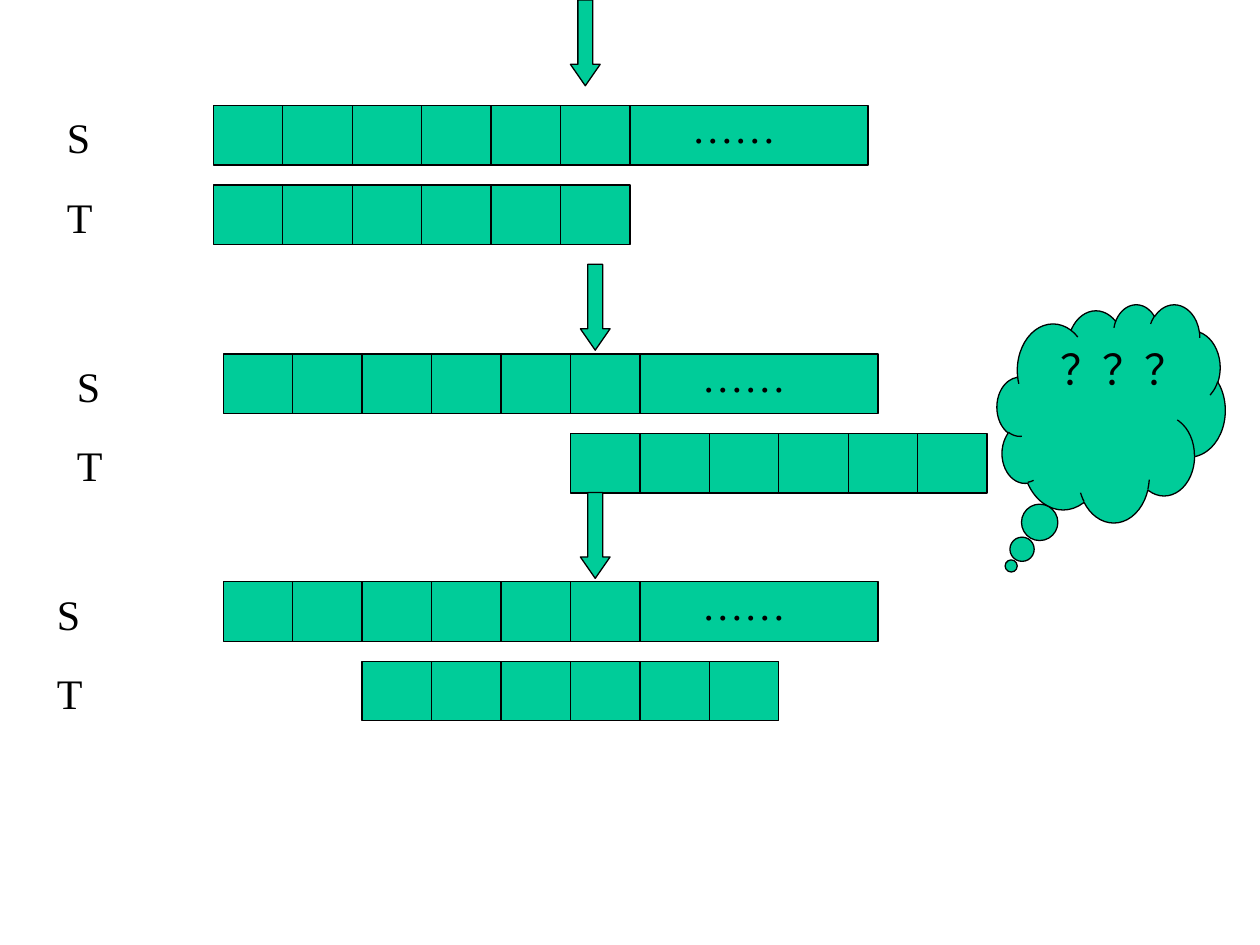
from pptx import Presentation
from pptx.dml.color import RGBColor
from pptx.enum.shapes import MSO_CONNECTOR, MSO_SHAPE
from pptx.enum.text import MSO_ANCHOR, MSO_AUTO_SIZE, PP_ALIGN
from pptx.oxml.ns import qn
from pptx.util import Cm, Pt
from lxml.etree import SubElement


def rgb(code):
    return RGBColor.from_string(code)


class Diagram:
    FILL = "00CC99"
    INK = "000000"
    FONT = {"name": "Times New Roman", "size": Pt(24)}
    CELL, HEIGHT = 1.4, 1.2

    def __init__(self, slide):
        self.slide = slide

    def outline(self, line):
        line.color.rgb = rgb(self.INK)
        line.width = Pt(0.75)

    def set_words(self, frame, words, align):
        frame.word_wrap = True
        frame.vertical_anchor = MSO_ANCHOR.TOP
        paragraph = frame.paragraphs[0]
        paragraph.alignment = align
        run = paragraph.add_run()
        run.text = words
        for key, value in self.FONT.items():
            setattr(run.font, key, value)
        run.font.color.rgb = rgb(self.INK)

    def shape(self, preset, left, top, width, height, adjustments=()):
        item = self.slide.shapes.add_shape(
            preset, Cm(left), Cm(top), Cm(width), Cm(height))
        item.shadow.inherit = False
        item.fill.solid()
        item.fill.fore_color.rgb = rgb(self.FILL)
        self.outline(item.line)
        for index, value in enumerate(adjustments):
            item.adjustments[index] = value
        return item

    def divider(self, x, top):
        rule = self.slide.shapes.add_connector(
            MSO_CONNECTOR.STRAIGHT, Cm(x), Cm(top), Cm(x), Cm(top + self.HEIGHT))
        self.outline(rule.line)
        SubElement(rule._element.spPr, qn("a:effectLst"))

    def strip(self, left, top, width, dividers):
        self.shape(MSO_SHAPE.RECTANGLE, left, top, width, self.HEIGHT)
        for number in range(1, dividers + 1):
            self.divider(left + number * self.CELL, top)

    def arrow(self, left, top):
        self.shape(MSO_SHAPE.DOWN_ARROW, left, top, 0.6, 1.73, (0.5, 0.72))

    def label(self, words, left, top, width=2):
        box = self.slide.shapes.add_textbox(Cm(left), Cm(top), Cm(width), Cm(1.27))
        self.set_words(box.text_frame, words, PP_ALIGN.LEFT)
        box.text_frame.auto_size = MSO_AUTO_SIZE.SHAPE_TO_FIT_TEXT

    def thought(self, words, left, top, width, height):
        cloud = self.shape(MSO_SHAPE.CLOUD_CALLOUT, left, top, width, height,
                           (-0.438, 0.7))
        self.set_words(cloud.text_frame, words, PP_ALIGN.CENTER)


def main():
    deck = Presentation()
    deck.slide_width, deck.slide_height = Cm(25.4), Cm(19.05)
    diagram = Diagram(deck.slides.add_slide(deck.slide_layouts[6]))

    # Matching steps: text left, text top, arrow top, label left, pattern shift
    steps = [
        (4.3, 2.13, 0, 1.1, 0),
        (4.5, 7.14, 5.33, 1.3, 5),
        (4.5, 11.73, 9.93, 0.9, 2),
    ]
    for left, top, arrow_top, label_left, shift in steps:
        pattern_top = top + 1.6
        # Text S and pattern T
        diagram.strip(left, top, 13.2, 6)
        diagram.strip(left + shift * diagram.CELL, pattern_top, 6 * diagram.CELL, 5)
        # Arrow at the compared cell, and labels
        diagram.arrow(left + 7.2, arrow_top)
        diagram.label("……", left + 9.4, top - 0.2, 3.4)
        diagram.label("S", label_left, top)
        diagram.label("T", label_left, pattern_top)

    # Question about the shift
    diagram.thought("？？？", 20.1, 6.13, 4.6, 4.4)

    deck.save("out.pptx")


if __name__ == "__main__":
    main()
